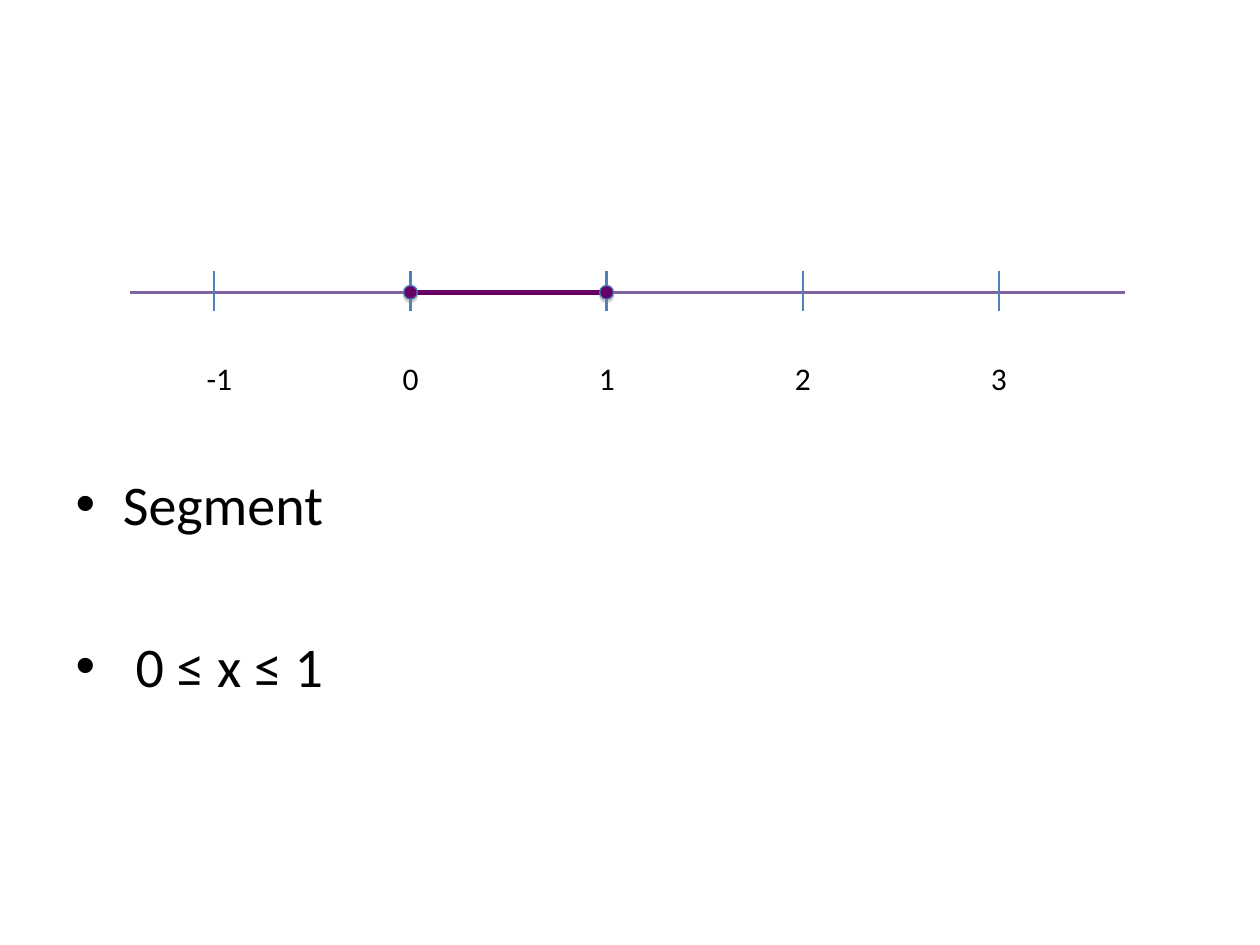
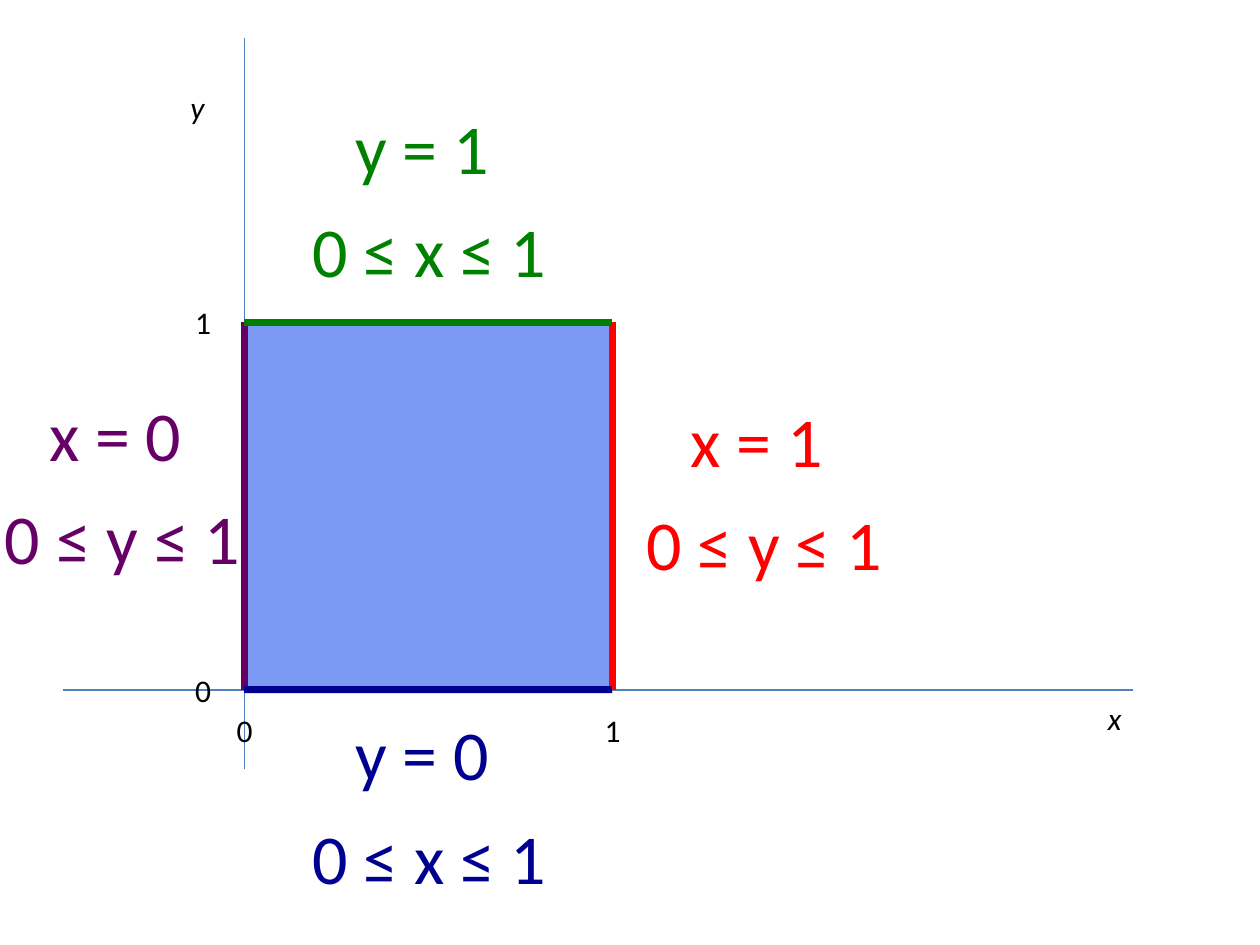
from dataclasses import dataclass

from lxml import etree
from pptx import Presentation
from pptx.dml.color import RGBColor
from pptx.enum.shapes import MSO_CONNECTOR, MSO_SHAPE
from pptx.enum.text import MSO_AUTO_SIZE, PP_ALIGN
from pptx.oxml.ns import qn
from pptx.util import Inches, Pt

STRAIGHT = MSO_CONNECTOR.STRAIGHT
OVAL, RECT = MSO_SHAPE.OVAL, MSO_SHAPE.RECTANGLE
FIT, FIXED = MSO_AUTO_SIZE.SHAPE_TO_FIT_TEXT, MSO_AUTO_SIZE.NONE
CENTER = PP_ALIGN.CENTER

WIDTH, HEIGHT = Inches(10), Inches(7.5)
BLACK, RED, GREEN, NAVY, PURPLE = "000000", "FF0000", "008000", "000090", "660066"
AXIS, VIOLET, OUTLINE, AREA, GREY = "4F81BD", "8064A2", "4A7EBB", "3366FF", "808080"
SMALL = {"name": "Calibri", "size": Pt(18)}
ITALIC = {**SMALL, "italic": True}
BODY = {"name": "Calibri", "size": Pt(32)}
LARGE = {"name": "Calibri", "size": Pt(40)}
MARK_SIZE, SIGNED_SIZE = (0.032, 0.053), (0.045, 0.053)
EQUATION_SIZE, RANGE_SIZE = (0.135, 0.103), (0.215, 0.103)


@dataclass
class Box:
    x: float
    y: float
    w: float
    h: float

    def at(self, u, v):
        return int((self.x + u * self.w) * WIDTH), int((self.y + v * self.h) * HEIGHT)

    def frame(self):
        left, top = self.at(0, 0)
        right, bottom = self.at(1, 1)
        return left, top, right - left, bottom - top


def rgb(color):
    return RGBColor.from_string(color)


def set_font(font, color, fmt):
    for name, value in fmt.items():
        setattr(font, name, value)
    font.color.rgb = rgb(color)


def add_line(s, start, end, color, width):
    sp = s.shapes.add_connector(STRAIGHT, *start, *end)
    sp.line.color.rgb = rgb(color)
    sp.line.width = Pt(width)
    etree.SubElement(sp._element.spPr, qn("a:effectLst"))


def add_alpha(parent, percent):
    etree.SubElement(parent, qn("a:alpha"), val=str(percent * 1000))


def add_figure(s, kind, frame, color, opacity=100):
    sp = s.shapes.add_shape(kind, *frame)
    sp.fill.solid()
    sp.fill.fore_color.rgb = rgb(color)
    sp.line.color.rgb = rgb(OUTLINE)
    sp.line.width = Pt(0.75)
    sp.shadow.inherit = False
    props = sp._element.spPr
    if opacity < 100:
        add_alpha(props.find(qn("a:solidFill"))[0], opacity)
    shadow = etree.SubElement(props.find(qn("a:effectLst")), qn("a:outerShdw"),
                              blurRad="0", dist=str(Pt(1.8)), dir="5400000", rotWithShape="0")
    add_alpha(etree.SubElement(shadow, qn("a:srgbClr"), val=GREY), 35)


def add_label(s, center, text, size=MARK_SIZE, color=BLACK, fmt=SMALL):
    w, h = int(size[0] * WIDTH), int(size[1] * HEIGHT)
    tf = s.shapes.add_textbox(center[0] - w // 2, center[1] - h // 2, w, h).text_frame
    tf.word_wrap = False
    tf.auto_size = FIT
    p = tf.paragraphs[0]
    p.alignment = CENTER
    r = p.add_run()
    r.text = text
    set_font(r.font, color, fmt)


def fill_body(s, box, items):
    sp = s.placeholders[1]
    sp.left, sp.top, sp.width, sp.height = box.frame()
    tf = sp.text_frame
    tf.auto_size = FIXED
    tf.margin_top = Inches(1.98)
    for i, item in enumerate(items):
        p = tf.paragraphs[0] if i == 0 else tf.add_paragraph()
        p.space_before = Pt(54 if i else 0)
        r = p.add_run()
        r.text = item
        set_font(r.font, BLACK, BODY)


def number_line(s, box, numbers, segment):
    level = 0.16
    ticks = {n: 0.085 + 0.197 * i for i, n in enumerate(numbers)}
    add_line(s, box.at(0, level), box.at(1, level), VIOLET, 2)
    for n, u in ticks.items():
        add_line(s, box.at(u, 0), box.at(u, 0.3), AXIS, 1.25)
        shift, size = (0.005, SIGNED_SIZE) if n < 0 else (0, MARK_SIZE)
        add_label(s, box.at(u + shift, 0.81), str(n), size)
    ends = [box.at(ticks[n], level) for n in segment]
    add_line(s, *ends, PURPLE, 3)
    dot = Inches(0.11)
    for x, y in ends:
        add_figure(s, OVAL, (x - dot // 2, y - dot // 2, dot, dot), PURPLE)


def unit_square(s, box, sides):
    add_line(s, box.at(0, -0.774), box.at(0, 1.216), AXIS, 1)
    add_line(s, box.at(-0.493, 1), box.at(2.414, 1), AXIS, 1)
    add_figure(s, RECT, box.frame(), AREA, 59)
    for n in (0, 1):
        add_label(s, box.at(n, 1.11), str(n))
        add_label(s, box.at(-0.113, 1 - n), str(n))
    for start, end, color, (u, v), equation, span in sides:
        add_line(s, box.at(*start), box.at(*end), color, 4)
        add_label(s, box.at(u, v), equation, EQUATION_SIZE, color, LARGE)
        add_label(s, box.at(u + 0.02, v + 0.281), span, RANGE_SIZE, color, LARGE)
    add_label(s, box.at(2.365, 1.075), "x", fmt=ITALIC)
    add_label(s, box.at(-0.128, -0.586), "y", fmt=ITALIC)


def segment_slide(prs):
    s = prs.slides.add_slide(prs.slide_layouts[1])
    title = s.shapes.title._element
    title.getparent().remove(title)
    fill_body(s, Box(0.05, 0.233, 0.9, 0.66), ["Segment", " 0 ≤ x ≤ 1"])
    number_line(s, Box(0.103, 0.287, 0.79, 0.14), range(-1, 4), (0, 1))


def square_slide(prs):
    s = prs.slides.add_slide(prs.slide_layouts[6])
    unit_square(s, Box(0.194, 0.341, 0.292, 0.389), [
        ((1, 0), (1, 1), RED, (1.392, 0.32), "x = 1", "0 ≤ y ≤ 1"),
        ((0, 0), (0, 1), PURPLE, (-0.351, 0.303), "x = 0", "0 ≤ y ≤ 1"),
        ((0, 0), (1, 0), GREEN, (0.483, -0.478), "y = 1", "0 ≤ x ≤ 1"),
        ((0, 1), (1, 1), NAVY, (0.483, 1.173), "y = 0", "0 ≤ x ≤ 1"),
    ])


def main():
    prs = Presentation()
    prs.slide_width, prs.slide_height = WIDTH, HEIGHT
    segment_slide(prs)
    square_slide(prs)
    prs.save("out.pptx")


if __name__ == "__main__":
    main()
